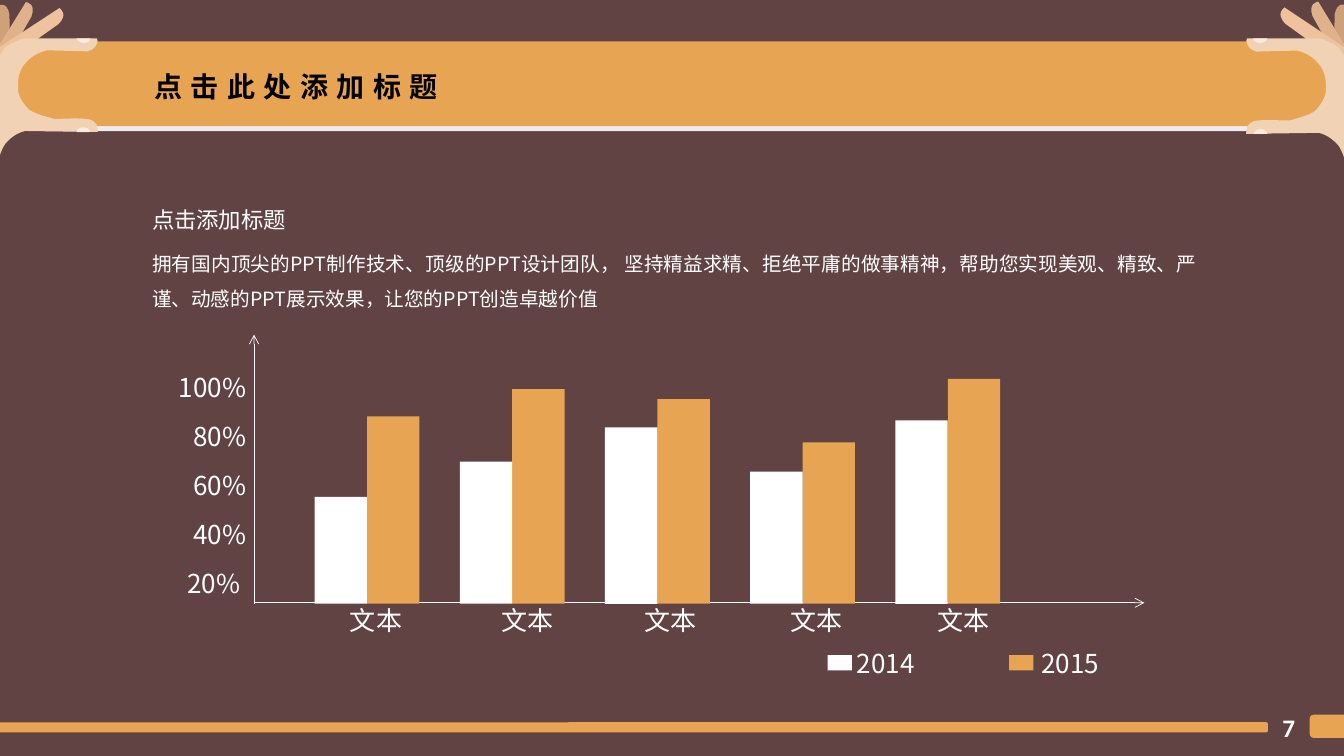
from dataclasses import dataclass
from typing import Optional

from lxml.etree import Element, SubElement
from pptx import Presentation
from pptx.dml.color import RGBColor
from pptx.enum.shapes import MSO_CONNECTOR, MSO_SHAPE
from pptx.enum.text import MSO_ANCHOR, MSO_AUTO_SIZE, PP_ALIGN
from pptx.oxml.ns import qn
from pptx.util import Inches, Pt

COLORS = {
    "white": "FFFFFF", "black": "000000", "orange": "E7A553", "backdrop": "2D0505",
    "far": "CFA17B", "middle": "DFB28B", "near": "EEC29D", "palm": "F1D2B5", "nail": "FBEBDE",
}
CJK = "Noto Sans CJK SC"
ROUNDED = MSO_SHAPE.ROUNDED_RECTANGLE
SLIDE_W, HAND_TOP, RIGHT_STRETCH = 13.33, 0.38, 1.02
BASELINE, BAR_W, GROUP_STEP, FIRST_GROUP = 5.99, 0.52, 1.44, 3.64

FINGER_FRAME = (-0.04, 0.08, 0.67, 0.6)
FINGER = [
    (-0.03, 0.49), (-0.02, 0.48), (0.59, 0.08),
    (0.6, 0.09, 0.68, 0.14, 0.58, 0.24), (-0.04, 0.68), (-0.03, 0.49),
]
PALM = [
    (-0.04, 0.69), (-0.02, 0.65, -0.03, 0.59, 0, 0.55), (0.03, 0.5, 0.05, 0.46, 0.1, 0.44),
    (0.14, 0.42, 0.17, 0.4, 0.25, 0.38), (0.96, 0.38),
    (0.98, 0.41, 0.96, 0.44, 0.94, 0.47), (0.92, 0.49, 0.9, 0.5, 0.87, 0.51), (0.47, 0.5),
    (0.36, 0.52, 0.27, 0.59, 0.22, 0.67), (0.17, 0.76, 0.18, 0.84, 0.18, 0.9),
    (0.19, 0.98, 0.25, 1.05, 0.29, 1.09), (0.37, 1.14, 0.47, 1.16, 0.54, 1.18),
    (0.65, 1.18, 0.74, 1.17, 0.85, 1.18), (0.91, 1.18, 0.94, 1.21, 0.96, 1.24),
    (0.97, 1.27, 0.97, 1.29, 0.97, 1.31), (0.25, 1.3),
    (0.16, 1.32, 0.09, 1.38, 0.05, 1.43), (0, 1.51, -0.01, 1.58, -0.04, 1.65),
    (-0.04, 1.33, -0.04, 1.01, -0.04, 0.69),
]
UPPER_NAIL = [
    (0.76, 0.38), (0.76, 0.39, 0.78, 0.42, 0.8, 0.42), (0.82, 0.43, 0.85, 0.43, 0.87, 0.42),
    (0.88, 0.41, 0.9, 0.4, 0.9, 0.38), (0.76, 0.38),
]
LOWER_NAIL = [
    (0.89, 1.31), (0.9, 1.3, 0.87, 1.27, 0.86, 1.27), (0.84, 1.26, 0.81, 1.26, 0.79, 1.27),
    (0.78, 1.28, 0.76, 1.29, 0.76, 1.31), (0.89, 1.31),
]


@dataclass
class HandPart:
    outline: list
    box: tuple
    color: str
    rotation: float = 0
    frame: Optional[tuple] = None


@dataclass
class BarGroup:
    label: str
    label_center: float
    top_2014: float
    top_2015: float


@dataclass
class LegendItem:
    label: str
    color: str
    key_x: float
    text_x: float
    text_w: float


HAND = [
    HandPart(FINGER, (-0.28, 0.17, 0.66, 0.56), "far", 303.3, FINGER_FRAME),
    HandPart(FINGER, (-0.19, 0.11, 0.63, 0.57), "middle", 335.3, FINGER_FRAME),
    HandPart(FINGER, FINGER_FRAME, "near"),
    HandPart(PALM, (-0.04, 0.38, 1.01, 1.27), "palm"),
    HandPart(UPPER_NAIL, (0.76, 0.38, 0.13, 0.05), "nail"),
    HandPart(LOWER_NAIL, (0.76, 1.26, 0.13, 0.05), "nail"),
]
GROUPS = [
    BarGroup("文本", 3.73, 4.93, 4.13), BarGroup("文本", 5.23, 4.58, 3.86),
    BarGroup("文本", 6.65, 4.24, 3.96), BarGroup("文本", 8.1, 4.68, 4.39),
    BarGroup("文本", 9.56, 4.17, 3.76),
]
LEGEND = [
    LegendItem("2014", "white", 8.21, 8.4, 0.94), LegendItem("2015", "orange", 10.01, 10.23, 1.12),
]


def rgb(name: str) -> RGBColor:
    """Look up a named colour."""
    return RGBColor.from_string(COLORS[name])


def paint(sp, color: str, alpha: int = 100) -> None:
    """Give a shape a flat fill without line or shadow."""
    sp.shadow.inherit = False
    sp.line.fill.background()
    sp.fill.solid()
    sp.fill.fore_color.rgb = rgb(color)
    if alpha < 100:
        clr = sp.element.spPr.find(qn("a:solidFill"))[0]
        SubElement(clr, qn("a:alpha"), val=str(alpha * 1000))


def add_block(s, box: tuple, color: str, alpha: int = 100,
              kind=MSO_SHAPE.RECTANGLE, rotation: float = 0) -> None:
    """Draw a filled preset shape."""
    sp = s.shapes.add_shape(kind, *map(Inches, box))
    sp.rotation = rotation
    paint(sp, color, alpha)


def curve_path(sp, outline: list, pts: list, size: tuple) -> None:
    """Set the path frame and join control points into cubic curves."""
    path = sp.element.spPr.find(".//" + qn("a:path"))
    path.set("w", str(size[0]))
    path.set("h", str(size[1]))
    for pt, (x, y) in zip(path.iter(qn("a:pt")), pts):
        pt.set("x", str(x))
        pt.set("y", str(y))
    lines = iter(path.findall(qn("a:lnTo")))
    for seg in outline[1:]:
        if len(seg) == 2:
            next(lines)
            continue
        curve = Element(qn("a:cubicBezTo"))
        trio = [next(lines) for _ in range(3)]
        trio[0].addprevious(curve)
        for ln in trio:
            curve.append(ln[0])
            path.remove(ln)


def add_hand_part(s, part: HandPart, mirrored: bool) -> None:
    """Draw one piece of a hand, on the left or mirrored on the right."""
    x, y, w, h = part.box
    fx, fy, fw, fh = part.frame or part.box
    rotation = part.rotation
    pts = [(seg[i] - fx, seg[i + 1] - fy) for seg in part.outline for i in range(0, len(seg), 2)]
    if mirrored:
        pts = [(fw - px, py) for px, py in pts]
        x, y = SLIDE_W - x - w, HAND_TOP + (y - HAND_TOP) * RIGHT_STRETCH
        h, rotation = h * RIGHT_STRETCH, -rotation
    emu = [(Inches(px), Inches(py)) for px, py in pts]
    fb = s.shapes.build_freeform(*emu[0])
    fb.add_line_segments(emu[1:], close=True)
    sp = fb.convert_to_shape()
    curve_path(sp, part.outline, emu, (Inches(fw), Inches(fh)))
    sp.left, sp.top, sp.width, sp.height = map(Inches, (x, y, w, h))
    sp.rotation = rotation
    paint(sp, part.color)


def write(sp, text: str, size: float, align=PP_ALIGN.LEFT, color: str = "white",
          font: str = CJK, bold: bool = False, wrap: bool = True):
    """Fill a text frame with one formatted paragraph and return it."""
    tf = sp.text_frame
    tf.word_wrap, tf.auto_size = wrap, MSO_AUTO_SIZE.SHAPE_TO_FIT_TEXT
    tf.vertical_anchor = MSO_ANCHOR.TOP
    p = tf.paragraphs[0]
    p.text, p.alignment = text, align
    p.font.size, p.font.name, p.font.bold = Pt(size), font, bold
    p.font.color.rgb = rgb(color)
    SubElement(p._p.pPr.find(qn("a:defRPr")), qn("a:ea"), typeface=font)
    return p


def add_text(s, box: tuple, text: str, size: float = 18.6, **style):
    """Add a text box and return its paragraph."""
    return write(s.shapes.add_textbox(*map(Inches, box)), text, size, **style)


def add_axis(s, start: tuple, end: tuple) -> None:
    """Draw a thin axis with an open arrowhead."""
    cx = s.shapes.add_connector(MSO_CONNECTOR.STRAIGHT, *map(Inches, start + end))
    cx.line.width = Pt(0.5)
    cx.line.color.rgb = rgb("white")
    SubElement(cx.element.spPr.find(qn("a:ln")), qn("a:tailEnd"), type="arrow")
    SubElement(cx.element.spPr, qn("a:effectLst"))


def add_frame(s) -> None:
    """Draw the backdrop, the banner and the hands holding it."""
    add_block(s, (0, 0, SLIDE_W, 7.5), "backdrop", 75)
    add_block(s, (6.48, -5.72, 0.84, 13.2), "white", 90, ROUNDED, 270)
    add_block(s, (6.31, -5.77, 0.84, 13.2), "orange", 100, ROUNDED, 270)
    for mirrored in (False, True):
        for part in HAND:
            add_hand_part(s, part, mirrored)


def add_bars(s) -> None:
    """Draw the axes, scale, legend and paired bars."""
    add_axis(s, (2.52, 5.99), (2.52, 3.32))
    add_axis(s, (2.52, 5.98), (11.35, 5.98))
    for i, label in enumerate(("100%", "80%", "60%", "40%", "20% ")):
        add_text(s, (1.26, 3.64 + 0.484 * i, 1.28, 0.42), label, align=PP_ALIGN.RIGHT)
    for item in LEGEND:
        add_block(s, (item.key_x, 6.5, 0.24, 0.15), item.color)
        add_text(s, (item.text_x, 6.37, item.text_w, 0.42), item.label)
    for g in GROUPS:
        add_text(s, (g.label_center - 0.42, 5.95, 0.84, 0.42), g.label, align=PP_ALIGN.CENTER)
    for i, g in enumerate(GROUPS):
        x = FIRST_GROUP + GROUP_STEP * i
        add_block(s, (x, g.top_2015, BAR_W, BASELINE - g.top_2015), "orange")
        add_block(s, (x - BAR_W, g.top_2014, BAR_W, BASELINE - g.top_2014), "white")


def main() -> None:
    """Build the slide and save it."""
    prs = Presentation()
    prs.slide_width, prs.slide_height = Inches(SLIDE_W), Inches(7.5)
    s = prs.slides.add_slide(prs.slide_layouts[5])
    add_frame(s)
    add_bars(s)
    p = add_text(s, (1.41, 2.33, 10.56, 0.81),
                 "拥有国内顶尖的PPT制作技术、顶级的PPT设计团队， 坚持精益求精、拒绝平庸的做事精神，"
                 "帮助您实现美观、精致、严谨、动感的PPT展示效果，让您的PPT创造卓越价值",
                 14, align=PP_ALIGN.JUSTIFY)
    p.line_spacing = 1.5
    add_text(s, (1.41, 2, 1.56, 0.37), "点击添加标题", 16, wrap=False)
    for box in ((6.18, 0.87, 0.1, 12.69), (13.16, 6.92, 0.23, 0.57)):
        add_block(s, box, "orange", 100, ROUNDED, 270)
    add_text(s, (12.62, 7.02, 0.33, 0.4), "7", 18, font="Calibri", bold=True, wrap=False)
    title = s.shapes.title
    title.left, title.top, title.width, title.height = map(Inches, (1.43, 0.64, 3.54, 0.44))
    p = write(title, "点击此处添加标题", 20, color="black", bold=True)
    p._p.pPr.find(qn("a:defRPr")).set("spc", "600")
    title.element.getparent().append(title.element)
    prs.save("out.pptx")


if __name__ == "__main__":
    main()
